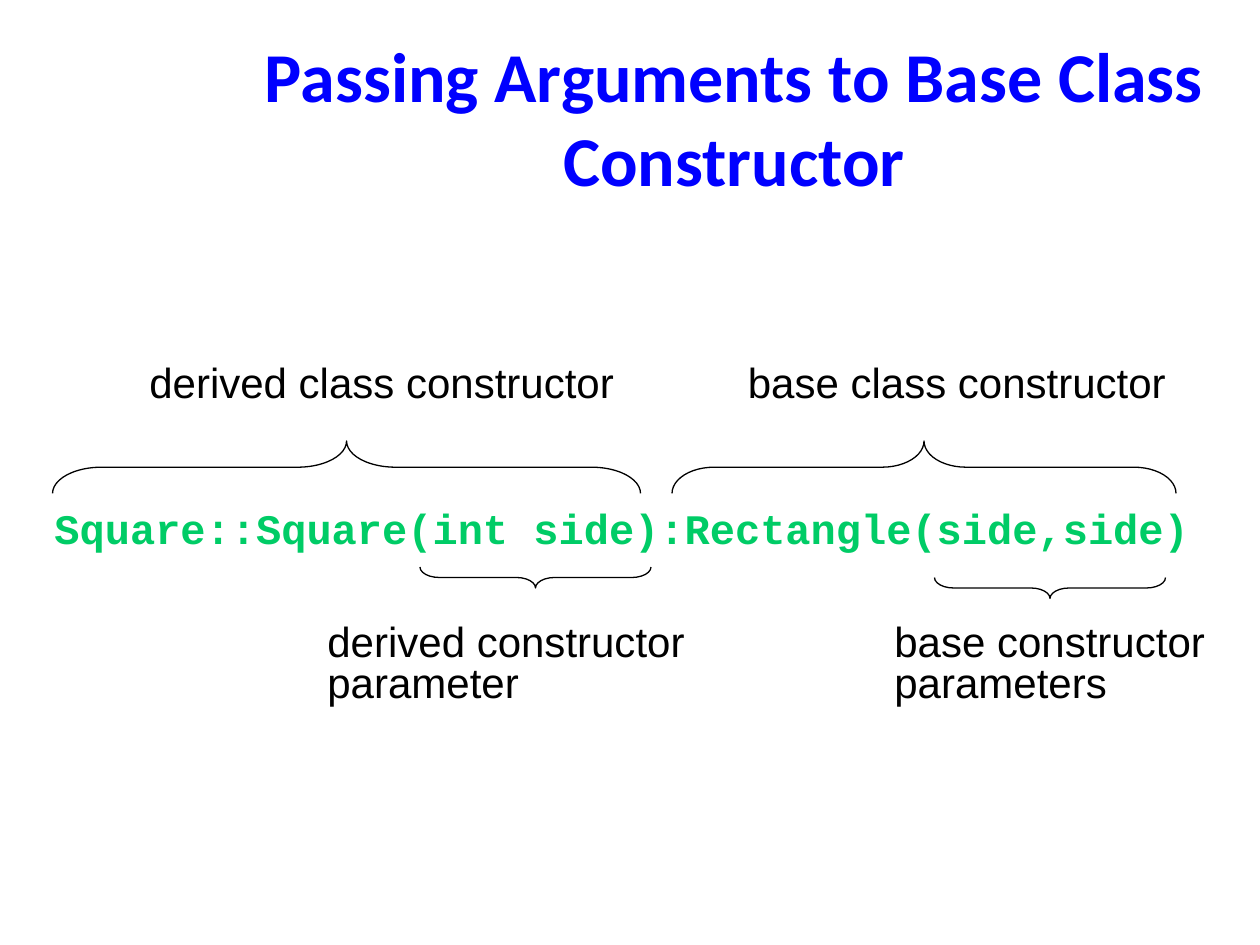
import pptx
import pptx.dml.color
import pptx.enum.shapes
import pptx.enum.text
import pptx.util

THEME = {
    "title": {"font": "Calibri", "size": 40, "color": "0000FF", "bold": True},
    "code": {"font": "Courier New", "size": 24, "color": "00CC66", "bold": True},
    "label": {"font": "Arial", "size": 24, "color": "000000", "bold": False},
    "line": {"color": "000000", "width": 0.75},
}

deck = pptx.Presentation()
deck.slide_width = pptx.util.Inches(10)
deck.slide_height = pptx.util.Inches(7.5)
UNIT = deck.slide_width / 120  # the slide is a grid of 120 columns by 90 rows


def place(shape, left, top, width, height):
    shape.left, shape.top = round(left * UNIT), round(top * UNIT)
    shape.width, shape.height = round(width * UNIT), round(height * UNIT)


def write(box, text, style, spacing=1.0):
    frame = box.text_frame
    frame.text = text
    frame.word_wrap = True
    para = frame.paragraphs[0]
    para.line_spacing = spacing
    font = para.runs[0].font
    font.name = style["font"]
    font.size = pptx.util.Pt(style["size"])
    font.bold = style["bold"]
    font.color.rgb = pptx.dml.color.RGBColor.from_string(style["color"])


# Title
page = deck.slides.add_slide(deck.slide_layouts[5])
title = page.shapes.title
place(title, 20.3, 3.6, 99.2, 15)
write(title, "Passing Arguments to Base Class Constructor", THEME["title"])
title.text_frame.vertical_anchor = pptx.enum.text.MSO_ANCHOR.MIDDLE
title.text_frame.paragraphs[0].alignment = pptx.enum.text.PP_ALIGN.CENTER

# Code line
code = page.shapes.add_textbox(0, 0, 0, 0)
place(code, 4, 48, 112, 6)
write(code, "Square::Square(int side):Rectangle(side,side)", THEME["code"], 0.85)
code.text_frame.margin_right = 0

# Braces: a quarter turn points left braces up and right braces down
UP = pptx.enum.shapes.MSO_SHAPE.LEFT_BRACE
DOWN = pptx.enum.shapes.MSO_SHAPE.RIGHT_BRACE
braces = [
    (UP, 5, 42, 56, 5),
    (UP, 64, 42, 48, 5),
    (DOWN, 40, 54, 22, 2),
    (DOWN, 89, 55, 22, 2),
]
for kind, left, top, span, depth in braces:
    brace = page.shapes.add_shape(kind, 0, 0, 0, 0)
    place(brace, left + (span - depth) / 2, top - (span - depth) / 2, depth, span)
    brace.rotation = 90
    brace.adjustments[0] = span / 12 / depth
    brace.shadow.inherit = False
    brace.fill.background()
    brace.line.color.rgb = pptx.dml.color.RGBColor.from_string(THEME["line"]["color"])
    brace.line.width = pptx.util.Pt(THEME["line"]["width"])

# Labels: constructors above the code, parameters below it
labels = [
    ("derived class constructor", 13.05, 33.4, 48, 6, 1.0),
    ("base class constructor", 70.05, 33.4, 44, 6, 1.0),
    ("derived constructor parameter", 30, 59, 40, 8.9, 0.8),
    ("base constructor parameters", 84, 59, 33, 8.9, 0.8),
]
for text, left, top, width, height, spacing in labels:
    label = page.shapes.add_textbox(0, 0, 0, 0)
    place(label, left, top, width, height)
    write(label, text, THEME["label"], spacing)
    label.text_frame.auto_size = pptx.enum.text.MSO_AUTO_SIZE.SHAPE_TO_FIT_TEXT

deck.save("out.pptx")
